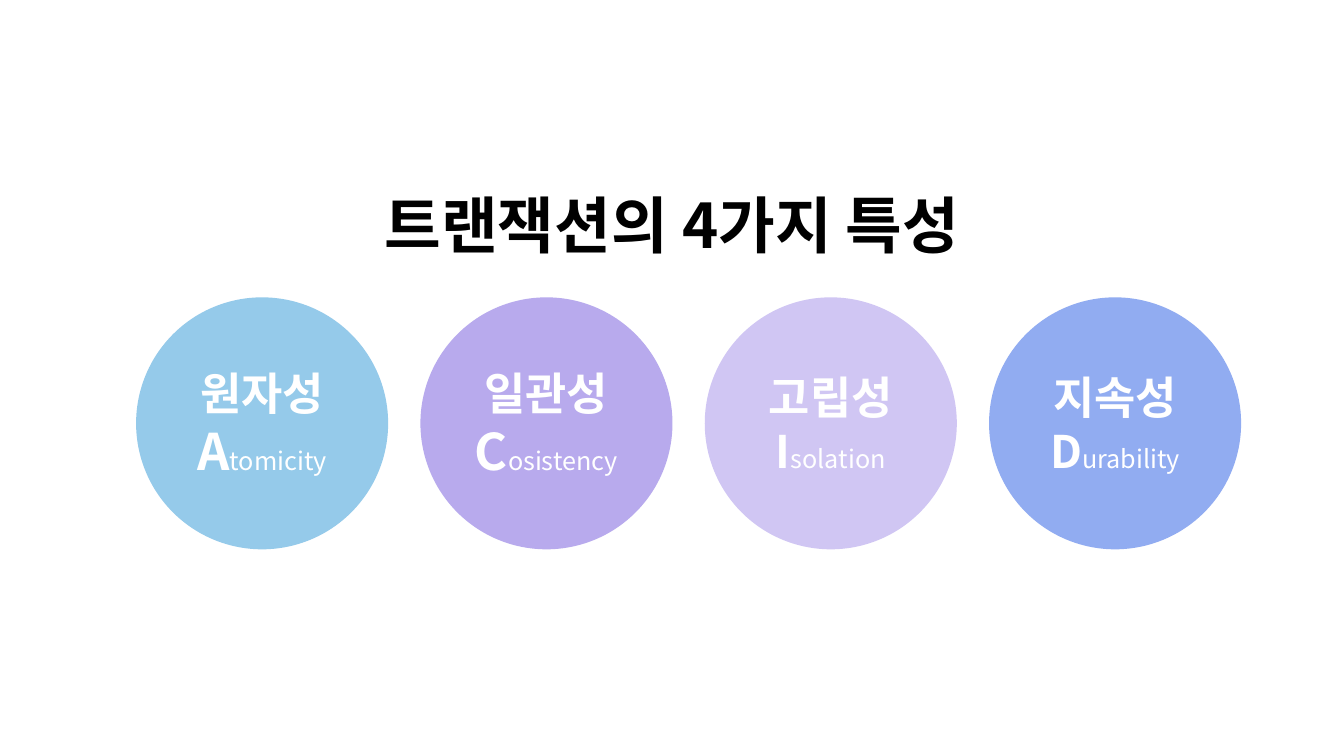
import pptx
import pptx.util
import pptx.dml.color
import pptx.enum.shapes
import pptx.enum.text
import pptx.oxml.ns
import lxml.etree
from dataclasses import dataclass

Inches = pptx.util.Inches


@dataclass(frozen=True)
class Theme:
    font: str = "Noto Sans CJK KR"
    ink: str = "000000"
    white: str = "FFFFFF"
    fills: tuple = ("95CAEA", "B8AAED", "D0C6F3", "91ACF1")
    title: int = 44
    name: int = 32
    large: int = 36
    small: int = 18


class Deck:
    def __init__(self, theme):
        self.theme = theme
        self.prs = pptx.Presentation()
        self.prs.slide_width = Inches(13.33)
        self.prs.slide_height = Inches(7.5)
        self.slide = self.prs.slides.add_slide(self.prs.slide_layouts[6])

    def style(self, run, size, color, bold=True):
        """Format a run, with the same font for Latin and Korean text."""
        font = run.font
        font.size = pptx.util.Pt(size)
        font.bold = bold
        font.color.rgb = pptx.dml.color.RGBColor.from_string(color)
        font.name = self.theme.font
        east = lxml.etree.SubElement(run._r.get_or_add_rPr(), pptx.oxml.ns.qn("a:ea"))
        east.set("typeface", self.theme.font)

    def center(self, frame):
        frame.word_wrap = True
        frame.vertical_anchor = pptx.enum.text.MSO_ANCHOR.MIDDLE
        for para in frame.paragraphs:
            para.alignment = pptx.enum.text.PP_ALIGN.CENTER

    def title(self, text, left, top, width, height):
        box = self.slide.shapes.add_textbox(
            Inches(left), Inches(top), Inches(width), Inches(height))
        frame = box.text_frame
        frame.text = text
        self.center(frame)
        para = frame.paragraphs[0]
        para.line_spacing = 0.9
        self.style(para.runs[0], self.theme.title, self.theme.ink)

    def circle(self, left, top, size, fill, name, word, cap):
        """Draw a disc with a name above a word whose first letter has size cap."""
        theme = self.theme
        disc = self.slide.shapes.add_shape(
            pptx.enum.shapes.MSO_SHAPE.OVAL,
            Inches(left), Inches(top), Inches(size), Inches(size))
        disc.shadow.inherit = False
        disc.fill.solid()
        disc.fill.fore_color.rgb = pptx.dml.color.RGBColor.from_string(fill)
        disc.line.fill.background()
        frame = disc.text_frame
        frame.text = name
        self.style(frame.paragraphs[0].runs[0], theme.name, theme.white)
        para = frame.add_paragraph()
        para.text = word[0]
        self.style(para.runs[0], cap, theme.white)
        rest = para.add_run()
        rest.text = word[1:]
        self.style(rest, theme.small, theme.white, bold=False)
        self.center(frame)


def main():
    theme = Theme()
    deck = Deck(theme)
    deck.title("트랜잭션의 4가지 특성", 1.57, 1.23, 10.19, 2.07)
    traits = (
        ("원자성", "Atomicity", theme.large),
        ("일관성", "Cosistency", theme.large),
        ("고립성", "Isolation", theme.name),
        ("지속성", "Durability", theme.name),
    )
    left, top, size, step = 1.35, 2.95, 2.5, 2.82
    for i, (fill, trait) in enumerate(zip(theme.fills, traits)):
        deck.circle(left + i * step, top, size, fill, *trait)
    deck.prs.save("out.pptx")


if __name__ == "__main__":
    main()
